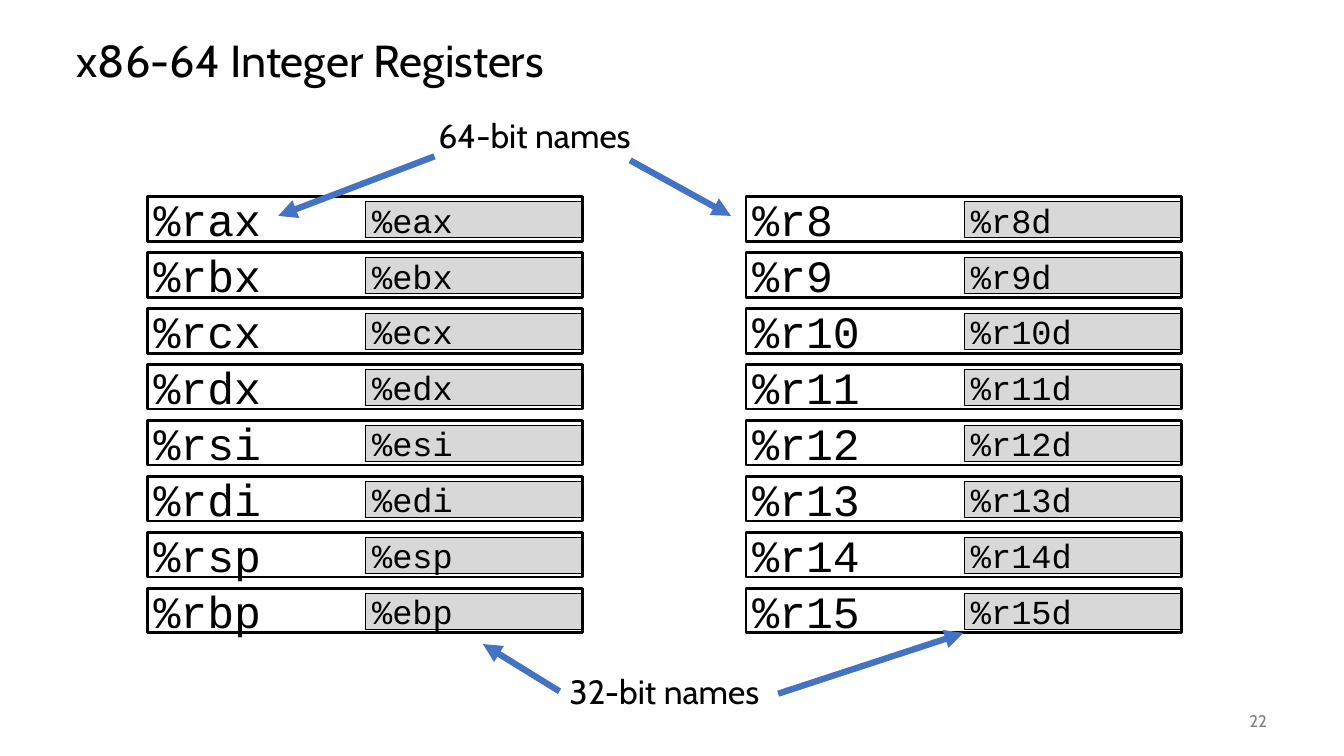
from lxml.etree import SubElement
from pptx import Presentation
from pptx.dml.color import RGBColor
from pptx.enum.shapes import MSO_CONNECTOR, MSO_SHAPE
from pptx.enum.text import MSO_ANCHOR, MSO_AUTO_SIZE, PP_ALIGN
from pptx.oxml.ns import qn
from pptx.util import Cm, Pt

SANS, MONO = "Cabin", "Courier New"
BLACK, GRAY, SILVER, BLUE = "000000", "808080", "D8D8D8", "4472C4"
TOP, PITCH = 4.96, 1.41
LEFT = ["ax", "bx", "cx", "dx", "si", "di", "sp", "bp"]
RIGHT = range(8, 16)


def paint(code):
    """Return the colour for a hex string."""
    return RGBColor.from_string(code)


def write(frame, text, size, face, code=BLACK, align=PP_ALIGN.LEFT,
          anchor=MSO_ANCHOR.MIDDLE):
    """Put one formatted paragraph into a text frame."""
    frame.text = text
    frame.word_wrap = True
    frame.vertical_anchor = anchor
    line = frame.paragraphs[0]
    line.alignment = align
    font = line.runs[0].font
    font.size, font.name = Pt(size), face
    font.color.rgb = paint(code)


def add_title(slide, text):
    """Move and fill the title placeholder."""
    title = slide.shapes.title
    title.left, title.top, title.width, title.height = (
        Cm(1.68), Cm(0.64), Cm(30.48), Cm(1.9))
    write(title.text_frame, text, 32, SANS)
    title.text_frame.auto_size = MSO_AUTO_SIZE.NONE
    title.text_frame.paragraphs[0].line_spacing = 0.9


def add_label(shapes, text, x, y, width, height, size=24, **style):
    """Add a plain text box."""
    box = shapes.add_textbox(Cm(x), Cm(y), Cm(width), Cm(height))
    write(box.text_frame, text, size, SANS, **style)


def add_box(shapes, text, x, y, width, height, size, weight, fill=None):
    """Add an outlined box that holds a register name."""
    box = shapes.add_shape(MSO_SHAPE.RECTANGLE, Cm(x), Cm(y),
                           Cm(width), Cm(height))
    box.shadow.inherit = False
    if fill:
        box.fill.solid()
        box.fill.fore_color.rgb = paint(fill)
    else:
        box.fill.background()
    box.line.color.rgb = paint(BLACK)
    box.line.width = Pt(weight)
    frame = box.text_frame
    frame.margin_left = frame.margin_right = Cm(0.16)
    frame.margin_top = frame.margin_bottom = Cm(0.16)
    write(frame, text, size, MONO)


def add_column(slide, x, pairs):
    """Stack the registers, each with its lower half inside."""
    shapes = slide.shapes.add_group_shape().shapes
    for row, (full, half) in enumerate(pairs):
        y = TOP + row * PITCH
        add_box(shapes, half, x + 5.51, y + 0.12, 5.44, 0.91, 24, 0.75, SILVER)
        add_box(shapes, full, x, y, 10.97, 1.12, 32, 2)


def add_arrow(shapes, start, end):
    """Draw a thick arrow from start to end."""
    points = [Cm(value) for value in (*start, *end)]
    arrow = shapes.add_connector(MSO_CONNECTOR.STRAIGHT, *points)
    arrow.line.color.rgb = paint(BLUE)
    arrow.line.width = Pt(4.5)
    SubElement(arrow.line._get_or_add_ln(), qn("a:tailEnd"), type="triangle")
    SubElement(arrow._element.spPr, qn("a:effectLst"))


def add_callout(slide, text, place, arrows):
    """Group a label with the arrows that leave it."""
    shapes = slide.shapes.add_group_shape().shapes
    add_label(shapes, text, *place, anchor=MSO_ANCHOR.TOP)
    for start, end in arrows:
        add_arrow(shapes, start, end)


def main():
    """Build the slide and save it."""
    deck = Presentation()
    deck.slide_width, deck.slide_height = Cm(33.87), Cm(19.05)
    slide = deck.slides.add_slide(deck.slide_layouts[5])
    add_title(slide, "x86-64 Integer Registers")
    add_label(slide.shapes, "22", 29.64, 17.65, 2.54, 1.02, 12,
              code=GRAY, align=PP_ALIGN.RIGHT)
    add_column(slide, 18.8, [(f"%r{n}", f"%r{n}d") for n in RIGHT])
    add_column(slide, 3.71, [(f"%r{n}", f"%e{n}") for n in LEFT])
    add_callout(slide, "64-bit names", (10.8, 2.77, 10.19, 1.27),
                [((10.95, 3.94), (7.01, 5.44)),
                 ((15.88, 4.04), (18.42, 5.44))])
    add_callout(slide, "32-bit names", (14.1, 16.79, 6.3, 1.27),
                [((14.1, 17.42), (12.17, 16.23)),
                 ((19.61, 17.48), (24.28, 15.95))])
    deck.save("out.pptx")


if __name__ == "__main__":
    main()
